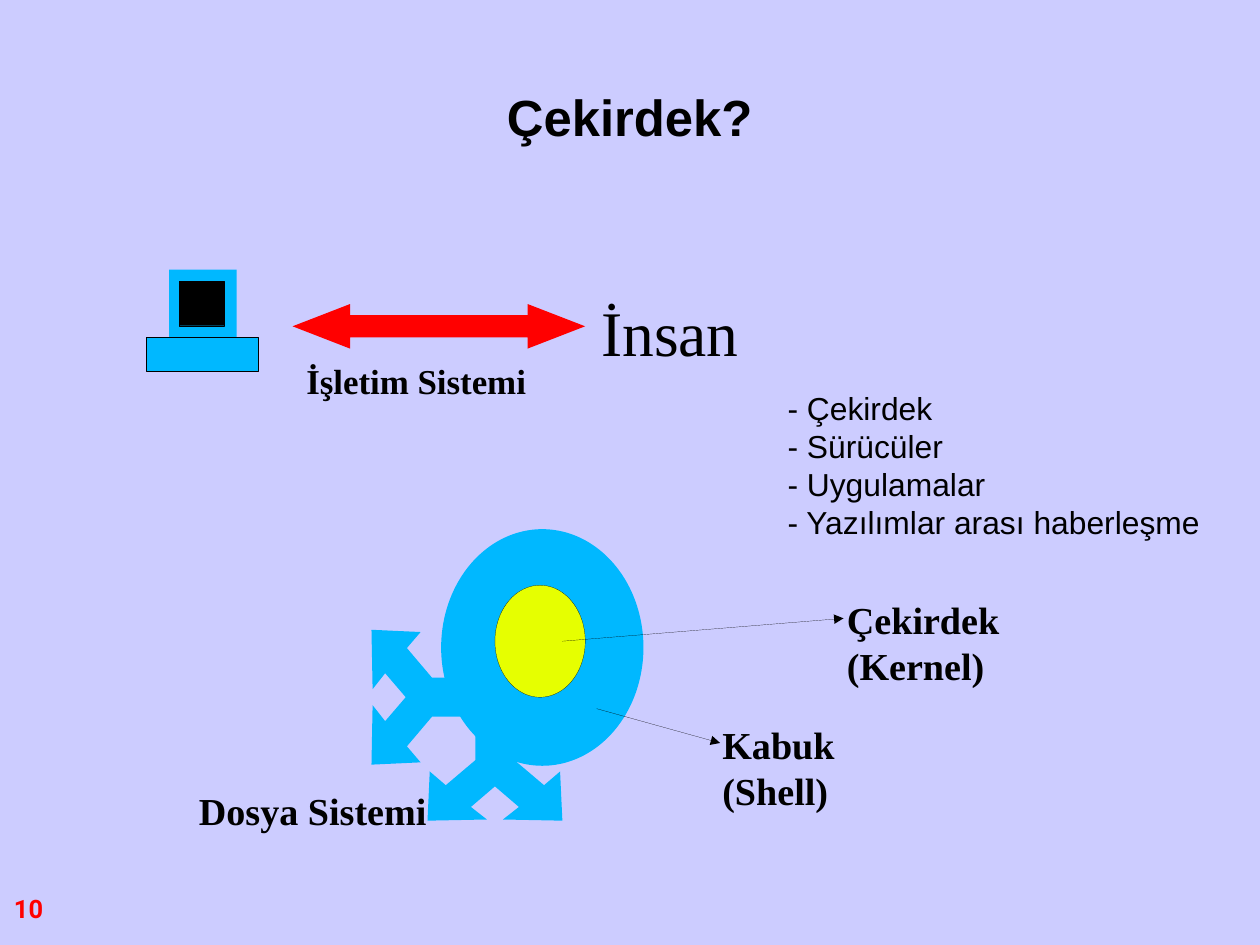
from lxml.etree import SubElement
from pptx import Presentation
from pptx.dml.color import RGBColor
from pptx.enum.shapes import MSO_CONNECTOR as Link, MSO_SHAPE as Shape
from pptx.enum.text import MSO_ANCHOR as Anchor, MSO_AUTO_SIZE as AutoSize, PP_ALIGN as Align
from pptx.oxml.ns import qn
from pptx.util import Inches, Pt

LAVENDER = RGBColor(0xCC, 0xCC, 0xFF)
CYAN = RGBColor(0x00, 0xB8, 0xFF)
YELLOW = RGBColor(0xE6, 0xFF, 0x00)
RED = RGBColor(0xFF, 0x00, 0x00)
BLACK = RGBColor(0x00, 0x00, 0x00)
SERIF = "Times New Roman"
SANS = "Arial"
HAIRLINE = Pt(0.1)

HALF_FORK = [(0, 0.17), (0.45, 0.17), (0.67, 0.43), (0.55, 0.57),
             (0.98, 0.59), (0.97, 0.07), (0.86, 0.21), (0.68, 0)]
FORK = HALF_FORK + [(depth, -side) for depth, side in HALF_FORK[-2::-1]]


def paint(shape, fill, outlined=False):
    shape.shadow.inherit = False
    shape.fill.solid()
    shape.fill.fore_color.rgb = fill
    if outlined:
        shape.line.color.rgb = BLACK
        shape.line.width = HAIRLINE
    else:
        shape.line.fill.background()


def add_part(parent, kind, box, fill, outlined=False):
    part = parent.shapes.add_shape(kind, *map(Inches, box))
    paint(part, fill, outlined)
    return part


def add_label(slide, box, lines, size, name=SERIF, bold=True, color=BLACK,
              align=Align.LEFT, wrap=False, anchor=Anchor.TOP):
    label = slide.shapes.add_textbox(*map(Inches, box))
    frame = label.text_frame
    layout = {"margin_left": 0, "margin_right": 0, "margin_top": 0,
              "margin_bottom": 0, "word_wrap": wrap, "vertical_anchor": anchor,
              "auto_size": AutoSize.SHAPE_TO_FIT_TEXT}
    for key, value in layout.items():
        setattr(frame, key, value)
    frame.text = "\n".join(lines)
    for paragraph in frame.paragraphs:
        paragraph.alignment = align
        for key, value in {"size": Pt(size), "name": name, "bold": bold}.items():
            setattr(paragraph.font, key, value)
        paragraph.font.color.rgb = color


def add_pointer(slide, start, end):
    pointer = slide.shapes.add_connector(Link.STRAIGHT, *map(Inches, start + end))
    pointer.line.color.rgb = BLACK
    pointer.line.width = HAIRLINE
    SubElement(pointer.line._get_or_add_ln(), qn("a:tailEnd"), type="triangle")
    SubElement(pointer._element.spPr, qn("a:effectLst"))


def add_fork(slide, points):
    corners = [(Inches(x), Inches(y)) for x, y in points]
    builder = slide.shapes.build_freeform(*corners[0])
    builder.add_line_segments(corners[1:], close=True)
    paint(builder.convert_to_shape(), CYAN)


def add_computer(slide, left, top):
    computer = slide.shapes.add_group_shape()
    add_part(computer, Shape.RECTANGLE, (left + 0.2, top, 0.59, 0.59), CYAN)
    add_part(computer, Shape.RECTANGLE, (left, top + 0.59, 0.98, 0.3), CYAN, True)
    add_part(computer, Shape.RECTANGLE, (left + 0.29, top + 0.1, 0.39, 0.39), BLACK, True)


def add_interaction(slide, left, top):
    add_computer(slide, left, top)
    exchange = add_part(slide, Shape.LEFT_RIGHT_ARROW,
                        (left + 1.28, top + 0.3, 2.56, 0.39), RED)
    exchange.adjustments[0] = 0.5
    exchange.adjustments[1] = 1.29
    add_label(slide, (left + 3.98, top + 0.2, 1.21, 0.67), ["İnsan"], 40, bold=False)
    add_label(slide, (left + 1.4, top + 0.79, 1.95, 0.4), ["İşletim Sistemi"], 22)


def add_layers(slide, left, top):
    layers = slide.shapes.add_group_shape()
    add_part(layers, Shape.OVAL, (left, top, 1.77, 2.07), CYAN)
    add_part(layers, Shape.OVAL, (left + 0.47, top + 0.49, 0.79, 0.98), YELLOW, True)
    add_pointer(slide, (left + 1.06, top + 0.98), (left + 3.52, top + 0.78))
    add_pointer(slide, (left + 1.36, top + 1.57), (left + 2.44, top + 1.87))
    add_label(slide, (left + 2.46, top + 1.68, 1, 0.87), ["Kabuk", "(Shell)"], 24)
    add_label(slide, (left + 3.55, top + 0.59, 1.35, 0.87), ["Çekirdek", "(Kernel)"], 24)
    add_fork(slide, [(left + 0.37 - depth, top + 1.47 + side) for depth, side in FORK])
    add_fork(slide, [(left + 0.47 + side, top + 1.57 + depth) for depth, side in FORK])
    add_label(slide, (left - 2.12, top + 2.26, 2.02, 0.44), ["Dosya Sistemi"], 24)


def main():
    deck = Presentation()
    deck.slide_width = Inches(28 / 2.54)
    deck.slide_height = Inches(21 / 2.54)
    slide = deck.slides.add_slide(deck.slide_layouts[6])
    slide.background.fill.solid()
    slide.background.fill.fore_color.rgb = LAVENDER
    add_label(slide, (0, 7.81, 0.5, 0.46), ["10"], 16, "Roboto", color=RED,
              align=Align.CENTER)
    add_label(slide, (0.55, 0.33, 9.92, 1.38), ["Çekirdek?"], 32, SANS,
              align=Align.CENTER, wrap=True, anchor=Anchor.MIDDLE)
    add_interaction(slide, 1.28, 2.36)
    add_layers(slide, 3.86, 4.63)
    add_label(slide, (6.89, 3.4, 3.83, 1.61),
              ["- Çekirdek", "- Sürücüler", "- Uygulamalar",
               "- Yazılımlar arası haberleşme"], 20, SANS, bold=False, wrap=True)
    deck.save("out.pptx")


if __name__ == "__main__":
    main()
